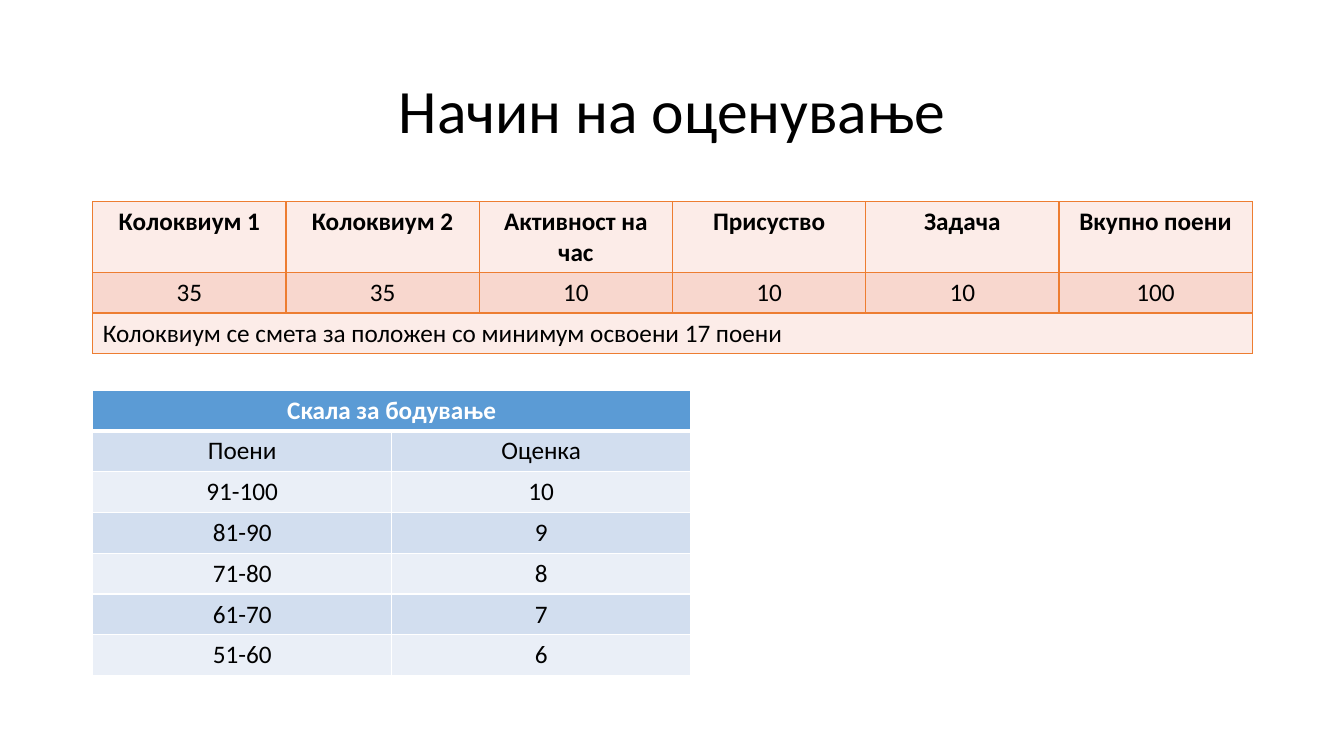
import dataclasses
import typing

import pptx
import pptx.dml.color
import pptx.enum.text
import pptx.oxml
import pptx.oxml.ns
import pptx.util

Inches = pptx.util.Inches
Align = pptx.enum.text.PP_ALIGN
FONT = "Calibri"
COLORS = {
    "black": "000000", "white": "FFFFFF",
    "orange": "ED7D31", "peach": "F8D7CE", "blush": "FCECE8",
    "blue": "5B9BD5", "sky": "D2DEEF", "mist": "EAEFF7",
}


@dataclasses.dataclass(frozen=True)
class Row:
    """A table row; a single text spans all columns."""
    texts: tuple[str, ...]
    fill: str
    height: float = 0.405
    color: str = "black"
    bold: bool = False
    align: typing.Any = Align.CENTER
    under: float = 1


@dataclasses.dataclass(frozen=True)
class Grid:
    left: float
    top: float
    width: float
    cols: int
    line: str
    rows: tuple[Row, ...]


POINTS = Grid(0.92, 2, 11.5, 6, "orange", (
    Row(("Колоквиум 1", "Колоквиум 2", "Активност на час",
         "Присуство", "Задача", "Вкупно поени"),
        "blush", height=0.7, bold=True),
    Row(("35", "35", "10", "10", "10", "100"), "peach"),
    Row(("Колоквиум се смета за положен со минимум освоени 17 поени",),
        "blush", align=Align.LEFT),
))
MARKS = (("Поени", "Оценка"), ("91-100", "10"), ("81-90", "9"),
         ("71-80", "8"), ("61-70", "7"), ("51-60", "6"))
SCALE = Grid(0.92, 3.87, 5.93, 2, "white", (
    Row(("Скала за бодување",), "blue", color="white", bold=True, under=3),
    *(Row(pair, ("sky", "mist")[i % 2]) for i, pair in enumerate(MARKS)),
))


def rgb(name: str) -> pptx.dml.color.RGBColor:
    return pptx.dml.color.RGBColor.from_string(COLORS[name])


def write(frame, text: str, size: float, color: str, align, bold=False) -> None:
    par = frame.paragraphs[0]
    par.alignment = align
    run = par.add_run()
    run.text = text
    font = run.font
    font.name, font.size, font.bold = FONT, pptx.util.Pt(size), bold
    font.color.rgb = rgb(color)


def border(cell, color: str, over: float, under: float) -> None:
    """Line all four sides; over and under are the top and bottom widths."""
    props = cell._tc.get_or_add_tcPr()
    sides = {"lnL": 1, "lnR": 1, "lnT": over, "lnB": under}
    for i, (tag, width) in enumerate(sides.items()):
        props.insert(i, pptx.oxml.parse_xml(
            f'<a:{tag} {pptx.oxml.ns.nsdecls("a")} w="{pptx.util.Pt(width)}">'
            f'<a:solidFill><a:srgbClr val="{COLORS[color]}"/></a:solidFill>'
            f'</a:{tag}>'))


def draw(slide, grid: Grid) -> None:
    height = sum(row.height for row in grid.rows)
    table = slide.shapes.add_table(
        len(grid.rows), grid.cols, Inches(grid.left), Inches(grid.top),
        Inches(grid.width), Inches(height)).table
    table.first_row = table.horz_banding = False
    over = 1
    for r, row in enumerate(grid.rows):
        table.rows[r].height = Inches(row.height)
        for c in range(grid.cols):
            cell = table.cell(r, c)
            cell.fill.solid()
            cell.fill.fore_color.rgb = rgb(row.fill)
            border(cell, grid.line, over, row.under)
        if len(row.texts) == 1:
            table.cell(r, 0).merge(table.cell(r, grid.cols - 1))
        for c, text in enumerate(row.texts):
            write(table.cell(r, c).text_frame, text, 18, row.color,
                  row.align, row.bold)
        over = row.under


def title(slide, text: str) -> None:
    box = slide.shapes.add_textbox(
        Inches(0.92), Inches(0.4), Inches(11.5), Inches(1.45))
    frame = box.text_frame
    frame.word_wrap = True
    frame.vertical_anchor = pptx.enum.text.MSO_ANCHOR.MIDDLE
    write(frame, text, 44, "black", Align.CENTER)
    frame.paragraphs[0].line_spacing = 0.9


def main() -> None:
    deck = pptx.Presentation()
    deck.slide_width, deck.slide_height = Inches(13.33), Inches(7.5)
    slide = deck.slides.add_slide(deck.slide_layouts[6])
    title(slide, "Начин на оценување")
    for grid in (POINTS, SCALE):
        draw(slide, grid)
    deck.save("out.pptx")


if __name__ == "__main__":
    main()
